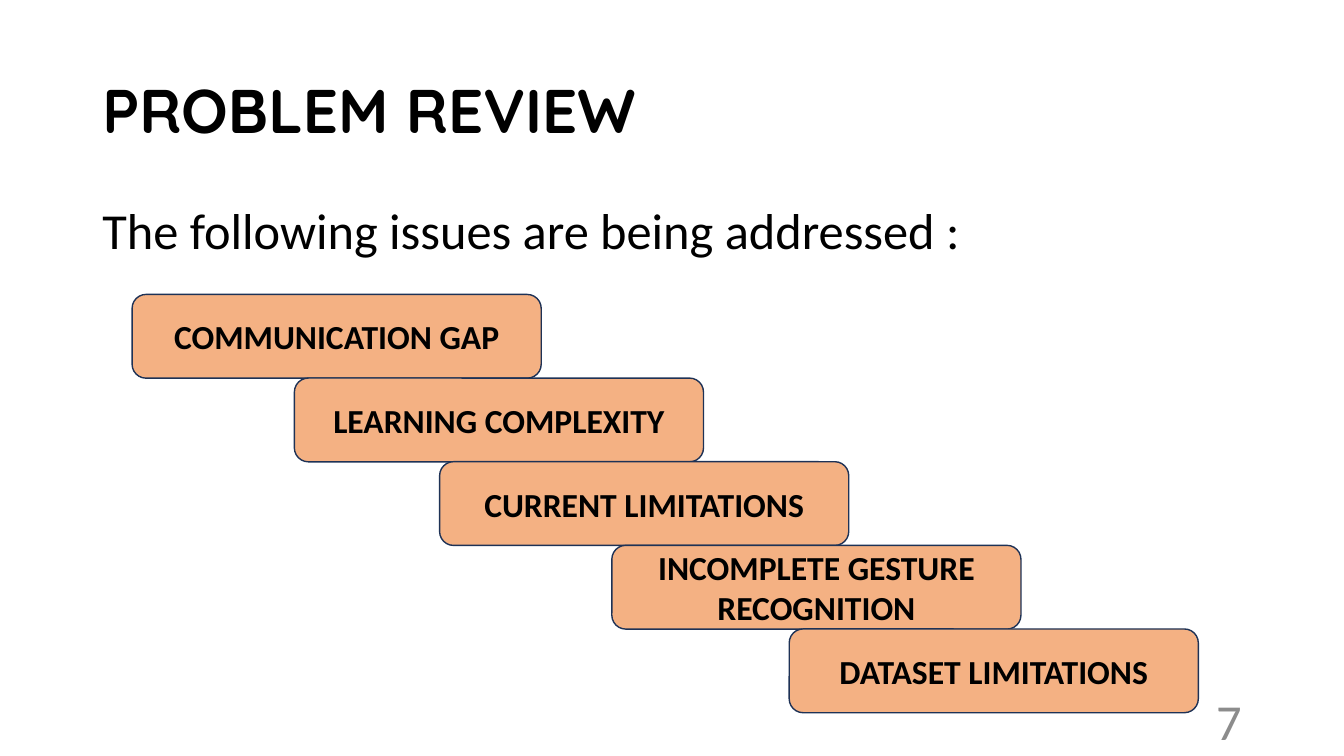
from dataclasses import dataclass

from pptx import Presentation
from pptx.dml.color import RGBColor
from pptx.enum.shapes import MSO_SHAPE
from pptx.enum.text import MSO_ANCHOR, PP_ALIGN
from pptx.util import Cm, Pt

ROUNDED = MSO_SHAPE.ROUNDED_RECTANGLE
TOP, MIDDLE = MSO_ANCHOR.TOP, MSO_ANCHOR.MIDDLE
LEFT, CENTER, RIGHT = PP_ALIGN.LEFT, PP_ALIGN.CENTER, PP_ALIGN.RIGHT


@dataclass(frozen=True)
class Theme:
    """Fonts, colours and type sizes of the slide."""
    heading_font: str = "Quicksand"
    body_font: str = "Calibri"
    text: RGBColor = RGBColor(0x00, 0x00, 0x00)
    muted: RGBColor = RGBColor(0x8C, 0x8C, 0x8C)
    step_fill: RGBColor = RGBColor(0xF4, 0xB1, 0x83)
    step_line: RGBColor = RGBColor(0x1E, 0x32, 0x56)
    title_size: int = 44
    body_size: int = 36
    step_size: int = 24


THEME = Theme()
ISSUES = [
    ("COMMUNICATION GAP", 0),
    ("LEARNING COMPLEXITY", 4.09),
    ("CURRENT LIMITATIONS", 7.75),
    ("INCOMPLETE GESTURE RECOGNITION", 12.09),
    ("DATASET LIMITATIONS", 16.56),
]


def write(sp, text, size, font=THEME.body_font, color=THEME.text, bold=False,
          align=LEFT, anchor=MIDDLE):
    """Fill a shape with one formatted paragraph and return it."""
    tf = sp.text_frame
    tf.word_wrap = True
    tf.vertical_anchor = anchor
    p = tf.paragraphs[0]
    p.text = text
    p.alignment = align
    f = p.runs[0].font
    f.name, f.size, f.bold = font, Pt(size), bold
    f.color.rgb = color
    return p


def add_title(s, box, text):
    """Place the slide title in the box."""
    sp = s.shapes.add_textbox(*map(Cm, box))
    p = write(sp, text, THEME.title_size, font=THEME.heading_font, bold=True)
    p.line_spacing = 0.9


def add_intro(s, box, text):
    """Place the opening sentence at the top of the box."""
    sp = s.shapes.add_textbox(*map(Cm, box))
    p = write(sp, text, THEME.body_size, anchor=TOP)
    p.line_spacing = 0.9
    p.space_before = Pt(10)


def add_page_number(s, box, number):
    """Place the page number at the right of the box."""
    sp = s.shapes.add_textbox(*map(Cm, box))
    write(sp, str(number), THEME.body_size, color=THEME.muted, align=RIGHT)


def add_staircase(s, box, issues):
    """Place the issues as descending steps inside the box."""
    left, top, width, height = box
    step_w = width - issues[-1][1]
    step_h = 2.11
    pitch = (height - step_h) / (len(issues) - 1)
    for i, (issue, offset) in enumerate(issues):
        sp = s.shapes.add_shape(ROUNDED, Cm(left + offset), Cm(top + i * pitch),
                                Cm(step_w), Cm(step_h))
        sp.shadow.inherit = False
        sp.fill.solid()
        sp.fill.fore_color.rgb = THEME.step_fill
        sp.line.color.rgb = THEME.step_line
        sp.line.width = Pt(1)
        write(sp, issue, THEME.step_size, bold=True, align=CENTER)


def main():
    """Build the problem review slide and save it."""
    prs = Presentation()
    prs.slide_width, prs.slide_height = Cm(33.87), Cm(19.05)
    s = prs.slides.add_slide(prs.slide_layouts[6])
    add_title(s, (2.33, 1.01, 29.21, 3.68), "PROBLEM REVIEW")
    add_intro(s, (2.33, 5.07, 29.21, 12.09),
              "The following issues are being addressed :")
    add_page_number(s, (23.92, 17.66, 7.62, 1.01), 7)
    add_staircase(s, (3.33, 7.42, 26.87, 10.54), ISSUES)
    prs.save("out.pptx")


if __name__ == "__main__":
    main()
